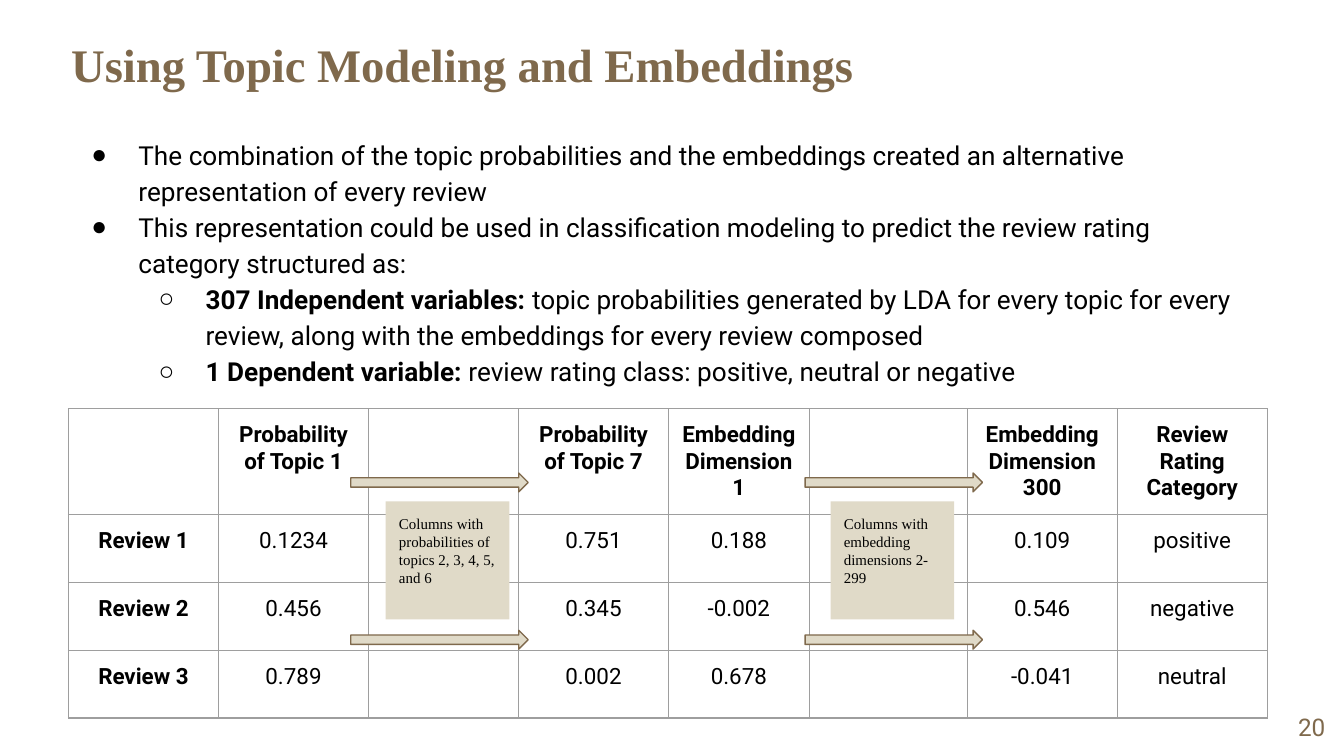
from lxml.etree import SubElement as Sub
from pptx import Presentation
from pptx.dml.color import RGBColor as Rgb
from pptx.enum.shapes import MSO_SHAPE as Kind
from pptx.enum.text import MSO_ANCHOR as Anchor, MSO_AUTO_SIZE as Auto, PP_ALIGN as Align
from pptx.oxml.ns import qn
from pptx.util import Inches, Pt

# Content
TITLE = "Using Topic Modeling and Embeddings"
PAGE = "20"
POINTS = [  # level, bold lead, text
    (0, "", "The combination of the topic probabilities and the embeddings "
            "created an alternative representation of every review"),
    (0, "", "This representation could be used in classification modeling to "
            "predict the review rating category structured as:"),
    (1, "307 Independent variables: ",
     "topic probabilities generated by LDA for every topic for every review, "
     "along with the embeddings for every review composed"),
    (1, "1 Dependent variable: ",
     "review rating class: positive, neutral or negative"),
]
ROWS = [
    ["", "Probability of Topic 1", "", "Probability of Topic 7",
     "Embedding Dimension 1", "", "Embedding Dimension 300",
     "Review Rating Category"],
    ["Review 1", "0.1234", "", "0.751", "0.188", "", "0.109", "positive"],
    ["Review 2", "0.456", "", "0.345", "-0.002", "", "0.546", "negative"],
    ["Review 3", "0.789", "", "0.002", "0.678", "", "-0.041", "neutral"],
]
NOTES = [  # note left, arrow left, text
    (2.87, 2.61, "Columns with probabilities of topics 2, 3, 4, 5, and 6"),
    (6.18, 5.99, "Columns with embedding dimensions 2-299"),
]

# Style
COLORS = {"ink": "000000", "brown": "7F694C", "sand": "E0DAC8",
          "grid": "9E9E9E", "white": "FFFFFF"}
SANS, SERIF = "Roboto", "Times New Roman"
SPAN = 8.92  # table width, shared out by the column weights
WEIGHTS = [1.12, 1.12, 1.12, 1.12, 1.05, 1.18, 1.12, 1.12]
HEIGHTS = [0.78, 0.48, 0.48, 0.48]
ARROW_TOPS = [3.52, 4.69]
MARKS = "●○"


def color(name):
    return Rgb.from_string(COLORS[name])


def style(para, face, size, ink="ink", bold=False, align=Align.LEFT):
    font = para.font
    font.name, font.size, font.bold = face, Pt(size), bold
    font.color.rgb = color(ink)
    para.alignment = align


def place(shape, *box):
    shape.left, shape.top, shape.width, shape.height = map(Inches, box)


def setup(frame, anchor=Anchor.TOP):
    frame.word_wrap = True
    frame.auto_size = Auto.NONE
    frame.vertical_anchor = anchor
    frame.margin_left = frame.margin_right = Inches(0.1)
    frame.margin_top = frame.margin_bottom = Inches(0.1)


def bullet(para, level):
    props = para._p.get_or_add_pPr()
    props.set("marL", str(Inches(0.5 * (level + 1))))
    props.set("indent", str(Inches(-0.35)))
    tint = Sub(props, qn("a:buClr"))
    Sub(tint, qn("a:srgbClr"), val=COLORS["ink"])
    Sub(props, qn("a:buChar"), char=MARKS[level])


def border(cell):
    props = cell._tc.get_or_add_tcPr()
    for side in "LRTB":
        line = Sub(props, qn("a:ln" + side), w=str(Pt(0.75)))
        fill = Sub(line, qn("a:solidFill"))
        Sub(fill, qn("a:srgbClr"), val=COLORS["grid"])


def add_shape(kind, *box):
    shape = slide.shapes.add_shape(kind, *map(Inches, box))
    shape.shadow.inherit = False
    shape.fill.solid()
    shape.fill.fore_color.rgb = color("sand")
    return shape


# Widescreen slide, 16 to 9
deck = Presentation()
deck.slide_width = Inches(10)
deck.slide_height = Inches(10 * 9 / 16)
slide = deck.slides.add_slide(deck.slide_layouts[1])
title, body = slide.placeholders

# Title
place(title, 0.43, 0.17, 8.86, 0.4)
setup(title.text_frame)
title.text_frame.text = TITLE
style(title.text_frame.paragraphs[0], SERIF, 25, "brown", True)

# Bullet list
place(body, 0.43, 0.9, 8.86, 2.06)
frame = body.text_frame
setup(frame)
for i, (level, lead, text) in enumerate(POINTS):
    para = frame.add_paragraph() if i else frame.paragraphs[0]
    para.level = level
    para.line_spacing = 1.15
    para.space_before = para.space_after = Pt(0)
    bullet(para, level)
    style(para, SANS, 14)
    if lead:
        run = para.add_run()
        run.text, run.font.bold = lead, True
    para.add_run().text = text

# Table of reviews
table = slide.shapes.add_table(
    len(ROWS), len(WEIGHTS), Inches(0.51), Inches(3.04),
    Inches(SPAN), Inches(sum(HEIGHTS))).table
table.first_row = table.horz_banding = False
for col, weight in zip(table.columns, WEIGHTS):
    col.width = Inches(SPAN * weight / sum(WEIGHTS))
for r, (row, height) in enumerate(zip(ROWS, HEIGHTS)):
    table.rows[r].height = Inches(height)
    for c, text in enumerate(row):
        cell = table.cell(r, c)
        cell.margin_left = cell.margin_right = Inches(0.1)
        cell.margin_top = cell.margin_bottom = Inches(0.1)
        border(cell)
        cell.fill.solid()
        cell.fill.fore_color.rgb = color("white")
        if text:
            cell.text = text
            style(cell.text_frame.paragraphs[0], SANS, 12,
                  bold=r == 0 or c == 0, align=Align.CENTER)

# Notes over the skipped columns, each between two arrows
for left, start, text in NOTES:
    note = add_shape(Kind.RECTANGLE, left, 3.73, 0.92, 0.88)
    note.line.fill.background()
    setup(note.text_frame)
    note.text_frame.text = text
    style(note.text_frame.paragraphs[0], SERIF, 8)
    for top in ARROW_TOPS:
        arrow = add_shape(Kind.RIGHT_ARROW, start, top, 1.32, 0.14)
        arrow.line.color.rgb = color("brown")
        arrow.line.width = Pt(0.75)

# Page number
page = slide.shapes.add_textbox(*map(Inches, (9.36, 5.19, 0.6, 0.43)))
setup(page.text_frame, Anchor.MIDDLE)
page.text_frame.text = PAGE
style(page.text_frame.paragraphs[0], SANS, 13, "brown", align=Align.RIGHT)

deck.save("out.pptx")
